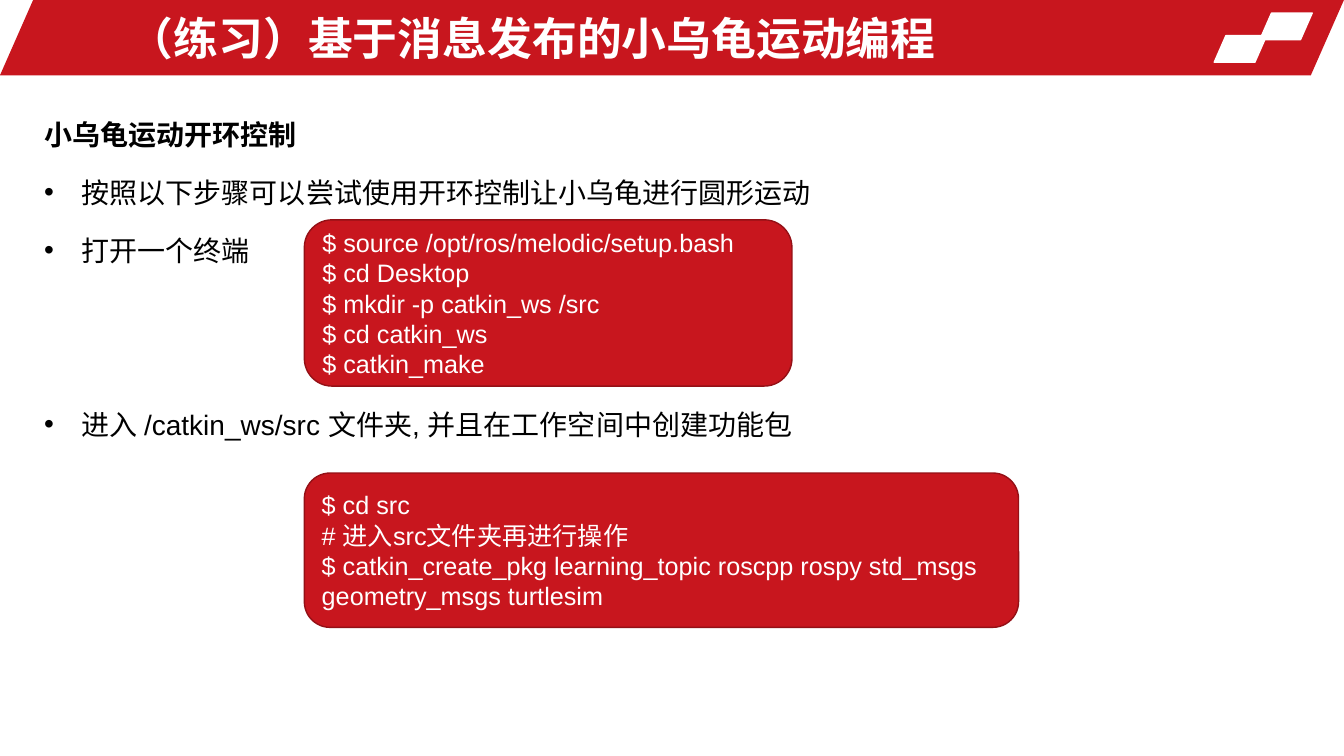
from lxml.etree import SubElement
from pptx import Presentation
from pptx.dml.color import RGBColor
from pptx.enum.shapes import MSO_SHAPE as Preset
from pptx.enum.text import MSO_ANCHOR as Anchor, PP_ALIGN as Align
from pptx.oxml.ns import qn
from pptx.util import Cm, Pt

COLORS = {"red": "C8161E", "edge": "941016", "white": "FFFFFF", "black": "000000"}
FONTS = {
    "title": {"name": "Arial", "size": Pt(32), "bold": True},
    "heading": {"name": "Arial", "size": Pt(20), "bold": True},
    "step": {"name": "Arial", "size": Pt(20), "bold": False},
    "command": {"name": "Arial", "size": Pt(18), "bold": False},
}
STEP_GAP = Pt(10)
GAP_BELOW_COMMANDS = Pt(93)

STEPS = [
    ("按照以下步骤可以尝试使用开环控制让小乌龟进行圆形运动", STEP_GAP),
    ("打开一个终端", STEP_GAP),
    ("进入 /catkin_ws/src 文件夹, 并且在工作空间中创建功能包", GAP_BELOW_COMMANDS),
]
WORKSPACE_COMMANDS = [
    "$ source /opt/ros/melodic/setup.bash",
    "$ cd Desktop",
    "$ mkdir -p catkin_ws /src",
    "$ cd catkin_ws",
    "$ catkin_make",
]
PACKAGE_COMMANDS = [
    "$ cd src",
    "# 进入src文件夹再进行操作",
    "$ catkin_create_pkg learning_topic roscpp rospy std_msgs geometry_msgs turtlesim",
]


def rgb(color):
    return RGBColor.from_string(COLORS[color])


def apply_formats(target, formats):
    for attribute, value in formats.items():
        setattr(target, attribute, value)


def write(paragraph, text, style, color, **layout):
    paragraph.text = text
    apply_formats(paragraph, layout)
    apply_formats(paragraph.font, FONTS[style])
    paragraph.font.color.rgb = rgb(color)


def add_panel(slide, preset, box, fill, edge=None):
    panel = slide.shapes.add_shape(preset, *map(Cm, box))
    panel.shadow.inherit = False
    panel.fill.solid()
    panel.fill.fore_color.rgb = rgb(fill)
    if edge:
        panel.line.color.rgb = rgb(edge)
        panel.line.width = Pt(1)
    else:
        panel.line.fill.background()
    return panel


def add_slanted(slide, box, fill, edge=None):
    slanted = add_panel(slide, Preset.PARALLELOGRAM, box, fill, edge)
    slanted.adjustments[0] = 0.44


def add_text_frame(slide, box, anchor):
    frame = slide.shapes.add_textbox(*map(Cm, box)).text_frame
    apply_formats(frame, {"word_wrap": True, "vertical_anchor": anchor})
    return frame


def add_bullet(paragraph):
    properties = paragraph._p.get_or_add_pPr()
    properties.set("marL", str(Cm(0.95)))
    properties.set("indent", str(Cm(-0.95)))
    SubElement(properties, qn("a:buFont"), typeface="Arial")
    SubElement(properties, qn("a:buChar"), char="•")


def add_title(slide, text):
    frame = add_text_frame(slide, (3, 0.13, 21.64, 1.65), Anchor.MIDDLE)
    write(frame.paragraphs[0], text, "title", "white")


def add_steps(slide, heading, steps):
    frame = add_text_frame(slide, (0.86, 2.59, 32.13, 14.76), Anchor.TOP)
    write(frame.paragraphs[0], heading, "heading", "black", line_spacing=1.3)
    for text, gap in steps:
        step = frame.add_paragraph()
        add_bullet(step)
        write(step, text, "step", "black", line_spacing=1.3, space_before=gap)


def add_commands(slide, box, commands):
    frame = add_panel(slide, Preset.ROUNDED_RECTANGLE, box, "red", "edge").text_frame
    apply_formats(frame, {"word_wrap": True, "vertical_anchor": Anchor.MIDDLE})
    for index, command in enumerate(commands):
        line = frame.add_paragraph() if index else frame.paragraphs[0]
        write(line, command, "command", "white", alignment=Align.LEFT)


def main():
    deck = Presentation()
    apply_formats(deck, {"slide_width": Cm(33.87), "slide_height": Cm(19.05)})
    slide = deck.slides.add_slide(deck.slide_layouts[6])

    add_slanted(slide, (0, 0, 33.87, 1.9), "red")
    for left, top in ((31.75, 0.33), (30.6, 0.9)):
        add_slanted(slide, (left, top, 1.32, 0.67), "white", "white")

    add_title(slide, "（练习）基于消息发布的小乌龟运动编程")
    add_steps(slide, "小乌龟运动开环控制", STEPS)
    add_commands(slide, (7.67, 5.54, 12.29, 4.19), WORKSPACE_COMMANDS)
    add_commands(slide, (7.67, 11.92, 18, 3.89), PACKAGE_COMMANDS)
    deck.save("out.pptx")


if __name__ == "__main__":
    main()
